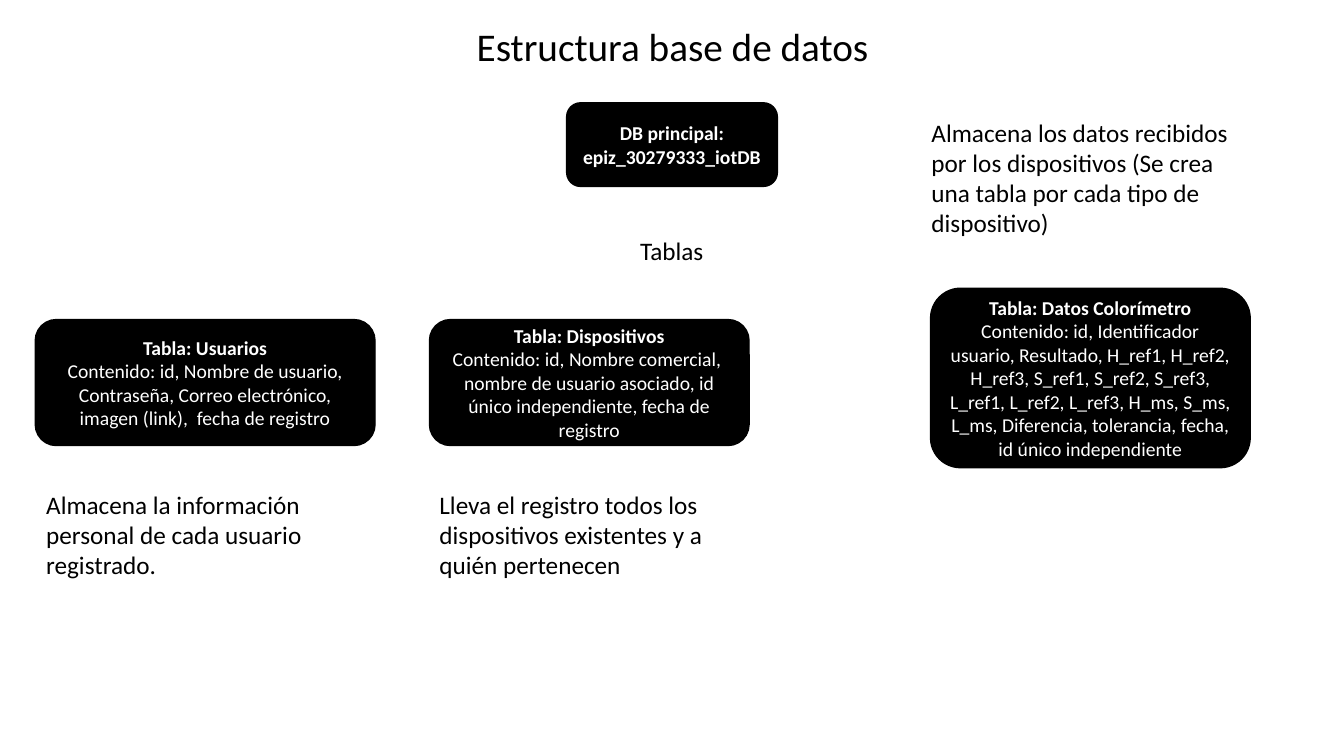
from pptx import Presentation
from pptx import util as u
from pptx.dml.color import RGBColor
from pptx.enum import shapes, text

PX = u.Inches(1) // 100
BLACK, WHITE = "000000", "FFFFFF"
TABLE_TOP, TABLE_HEIGHT = 317, 125
NOTE_TOP, NOTE_WIDTH = 480, 335

TABLES = [
    ((35, TABLE_TOP, 337, TABLE_HEIGHT), "Tabla: Usuarios",
     "Contenido: id, Nombre de usuario, Contraseña, Correo electrónico, "
     "imagen (link),  fecha de registro"),
    ((426, TABLE_TOP, 317, TABLE_HEIGHT), "Tabla: Dispositivos",
     "Contenido: id, Nombre comercial,  nombre de usuario asociado, "
     "id único independiente, fecha de registro"),
    ((923, 286, 317, 178), "Tabla: Datos Colorímetro",
     "Contenido: id, Identificador usuario, Resultado, H_ref1, H_ref2, H_ref3, "
     "S_ref1, S_ref2, S_ref3, L_ref1, L_ref2, L_ref3, H_ms, S_ms, L_ms, "
     "Diferencia, tolerancia, fecha, id único independiente"),
]

NOTES = [
    ((36, NOTE_TOP, NOTE_WIDTH, 101),
     "Almacena la información personal de cada usuario registrado."),
    ((426, NOTE_TOP, NOTE_WIDTH, 101),
     "Lleva el registro todos los dispositivos existentes y a quién pertenecen"),
    ((914, 111, NOTE_WIDTH, 131),
     "Almacena los datos recibidos por los dispositivos "
     "(Se crea una tabla por cada tipo de dispositivo)"),
]


def emu(box):
    return [length * PX for length in box]


def rgb(color):
    return RGBColor.from_string(color)


def add_run(paragraph, words, size, color, bold=False):
    run = paragraph.add_run()
    run.text = words
    run.font.name = "Calibri"
    run.font.size = u.Pt(size)
    run.font.bold = bold
    run.font.color.rgb = rgb(color)


def set_title(slide, box, words):
    title = slide.shapes.title
    title.left, title.top, title.width, title.height = emu(box)
    frame = title.text_frame
    frame.auto_size = text.MSO_AUTO_SIZE.NONE
    frame.vertical_anchor = text.MSO_ANCHOR.BOTTOM
    heading = frame.paragraphs[0]
    heading.alignment = text.PP_ALIGN.CENTER
    heading.line_spacing = 0.9
    add_run(heading, words, 28, BLACK)


def add_node(slide, box, lines):
    """Add a black rounded box; lines holds (words, bold) pairs."""
    node = slide.shapes.add_shape(shapes.MSO_SHAPE.ROUNDED_RECTANGLE, *emu(box))
    node.shadow.inherit = False
    node.fill.solid()
    node.fill.fore_color.rgb = rgb(BLACK)
    node.line.color.rgb = rgb(BLACK)
    node.line.width = u.Pt(1)
    frame = node.text_frame
    frame.word_wrap = True
    frame.vertical_anchor = text.MSO_ANCHOR.MIDDLE
    for index, (words, bold) in enumerate(lines):
        paragraph = frame.add_paragraph() if index else frame.paragraphs[0]
        paragraph.alignment = text.PP_ALIGN.CENTER
        add_run(paragraph, words, 14, WHITE, bold)


def add_note(slide, box, words, wrap=True):
    frame = slide.shapes.add_textbox(*emu(box)).text_frame
    frame.word_wrap = wrap
    frame.auto_size = text.MSO_AUTO_SIZE.SHAPE_TO_FIT_TEXT
    add_run(frame.paragraphs[0], words, 18, BLACK)


def main():
    deck = Presentation()
    deck.slide_width, deck.slide_height = emu((1333, 750))
    slide = deck.slides.add_slide(deck.slide_layouts[5])

    set_title(slide, (325, 22, 684, 52), "Estructura base de datos")
    add_node(slide, (562, 102, 209, 83),
             [("DB principal:", True), ("epiz_30279333_iotDB", True)])
    for box, name, content in TABLES:
        add_node(slide, box, [(name, True), (content, False)])
    add_note(slide, (625, 229, 84, 40), "Tablas", wrap=False)
    for box, words in NOTES:
        add_note(slide, box, words)

    deck.save("out.pptx")


if __name__ == "__main__":
    main()
